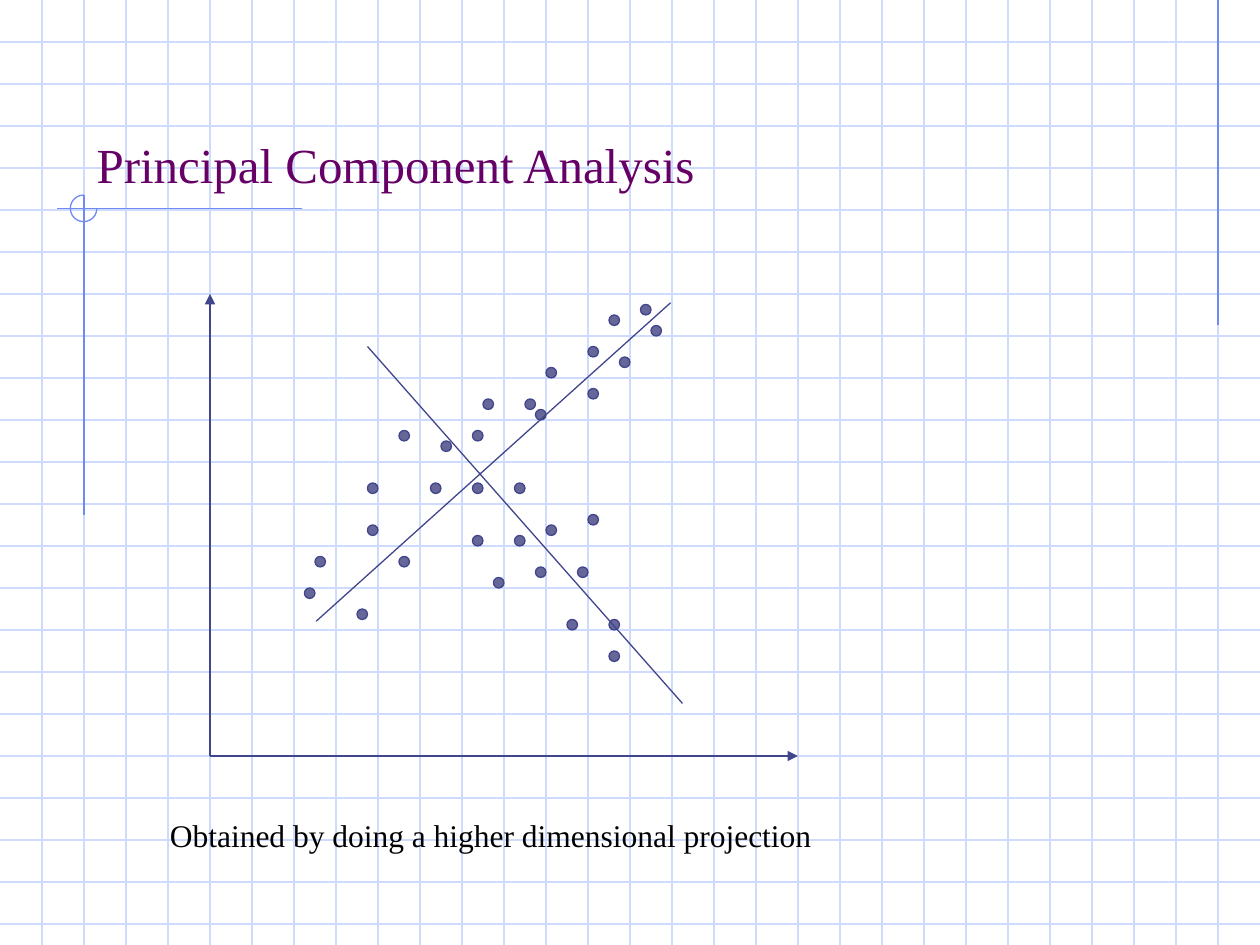
from lxml import etree
from pptx import Presentation
from pptx.dml.color import RGBColor
from pptx.enum import shapes, text
from pptx.oxml.ns import qn
from pptx.util import Pt

HEADING = "Principal Component Analysis"
CAPTION = "Obtained by doing a higher dimensional projection"
FONT = "Times New Roman"
PALE_BLUE = RGBColor(0xCF, 0xDB, 0xFD)
BLUE = RGBColor(0x6F, 0x89, 0xF7)
NAVY = RGBColor(0x40, 0x45, 0x8C)
SLATE = RGBColor(0x66, 0x66, 0x99)
PURPLE = RGBColor(0x66, 0x00, 0x66)
BLACK = RGBColor(0, 0, 0)

WIDTH, HEIGHT = 720, 540
GRID_STEP = 24
DOT = 6
TRIM = [(696, 0, 696, 186), (172.8, 119.2, 32.4, 119.2), (48, 111.6, 48, 294.5)]
AXES = [(120, 432, 456, 432), (120, 432, 120, 168)]
COMPONENTS = [(210, 198, 390, 402), (180.7, 355, 383.2, 173)]
# Observations as multiples of the dot size
OBSERVATIONS = [
    (38, 41), (42, 42), (45, 41), (41, 46), (45, 46), (45, 51), (49, 46), (49, 51),
    (52, 50), (47, 55), (51, 54), (55, 54), (54, 59), (58, 59), (58, 62), (56, 49),
    (61, 29), (58, 30), (59, 34), (62, 31), (56, 37), (52, 35), (56, 33), (51, 39),
    (30, 53), (50, 38), (35, 50), (35, 46), (34, 58), (46, 38), (29, 56), (38, 53),
]


def add_line(slide, ends, color, arrow=False):
    line = slide.shapes.add_connector(
        shapes.MSO_CONNECTOR.STRAIGHT, *(Pt(value) for value in ends))
    line.line.color.rgb = color
    line.line.width = Pt(0.75)
    if arrow:
        etree.SubElement(line.line._get_or_add_ln(), qn("a:tailEnd"), type="triangle")
    etree.SubElement(line.element.spPr, qn("a:effectLst"))


def add_round(slide, preset, left, top, size, color):
    mark = slide.shapes.add_shape(preset, Pt(left), Pt(top), Pt(size), Pt(size))
    mark.shadow.inherit = False
    mark.line.color.rgb = color
    mark.line.width = Pt(0.75)
    return mark


def write(frame, words, size, color):
    frame.text = words
    paragraph = frame.paragraphs[0]
    paragraph.alignment = text.PP_ALIGN.LEFT
    font = paragraph.runs[0].font
    font.name, font.size, font.color.rgb = FONT, Pt(size), color


def add_background(slide):
    for y in range(GRID_STEP, HEIGHT, GRID_STEP):
        add_line(slide, (0, y, WIDTH, y), PALE_BLUE)
    for x in range(GRID_STEP, WIDTH, GRID_STEP):
        add_line(slide, (x, 0, x, HEIGHT), PALE_BLUE)
    for ends in TRIM:
        add_line(slide, ends, BLUE)
    arc = add_round(slide, shapes.MSO_SHAPE.ARC, 40.2, 111.5, 15.2, BLUE)
    arc.adjustments[0], arc.adjustments[1] = 0, 162
    arc.fill.background()


def add_heading(slide):
    heading = slide.shapes.title
    heading.element.getparent().append(heading.element)
    heading.left, heading.top = Pt(48), Pt(24)
    heading.width, heading.height = Pt(612), Pt(90)
    write(heading.text_frame, HEADING, 28, PURPLE)
    heading.text_frame.auto_size = text.MSO_AUTO_SIZE.NONE
    heading.text_frame.vertical_anchor = text.MSO_ANCHOR.BOTTOM


def add_scatter(slide):
    for axis in AXES:
        add_line(slide, axis, NAVY, arrow=True)
    for column, row in OBSERVATIONS:
        dot = add_round(slide, shapes.MSO_SHAPE.OVAL, column * DOT, row * DOT, DOT, NAVY)
        dot.fill.solid()
        dot.fill.fore_color.rgb = SLATE
    for component in COMPONENTS:
        add_line(slide, component, NAVY)


def add_caption(slide):
    caption = slide.shapes.add_textbox(Pt(90), Pt(463), Pt(386), Pt(29))
    caption.text_frame.word_wrap = False
    caption.text_frame.auto_size = text.MSO_AUTO_SIZE.SHAPE_TO_FIT_TEXT
    write(caption.text_frame, CAPTION, 18, BLACK)


def main():
    deck = Presentation()
    deck.slide_width, deck.slide_height = Pt(WIDTH), Pt(HEIGHT)
    slide = deck.slides.add_slide(deck.slide_layouts.get_by_name("Title Only"))
    add_background(slide)
    add_heading(slide)
    add_scatter(slide)
    add_caption(slide)
    deck.save("out.pptx")


if __name__ == "__main__":
    main()
